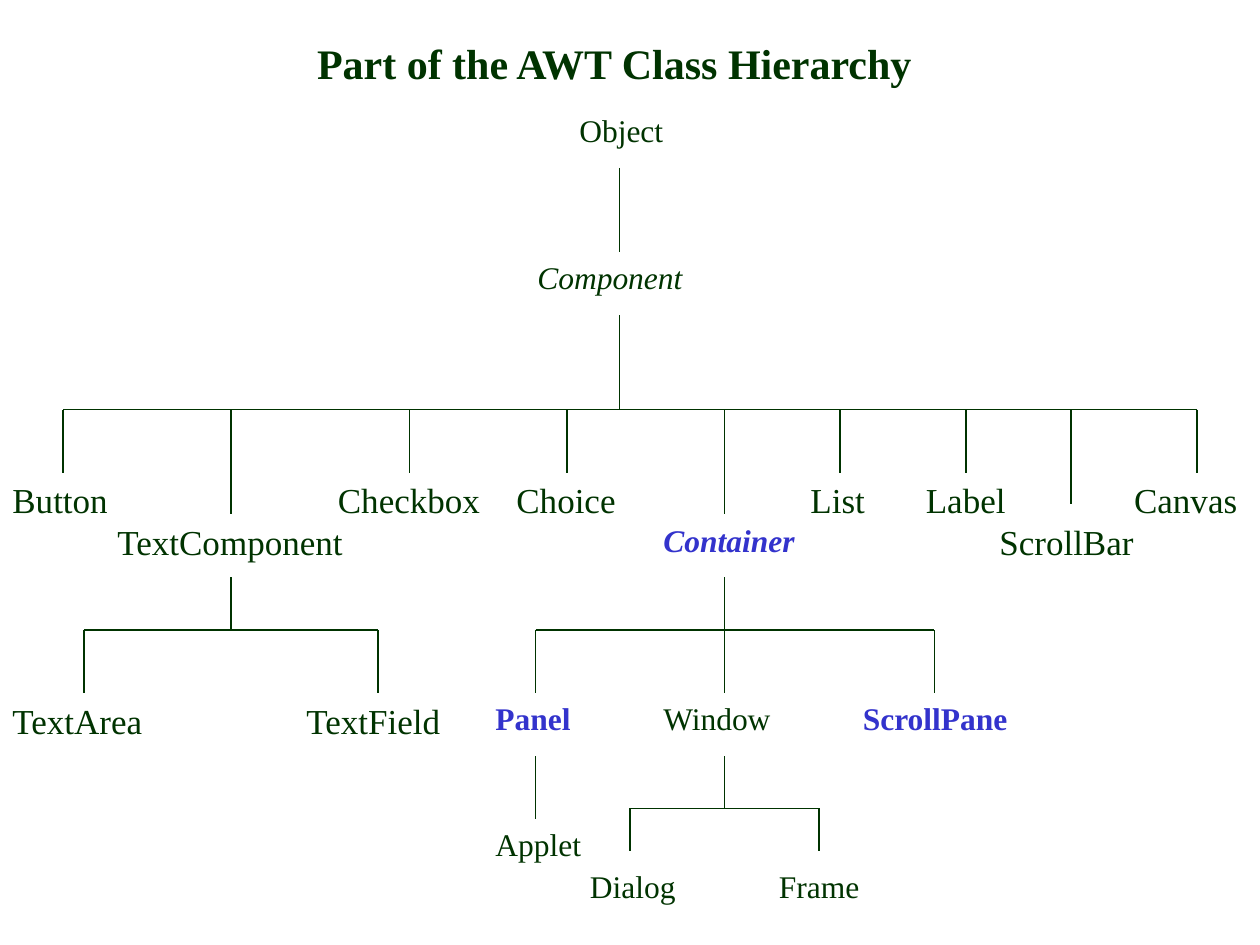
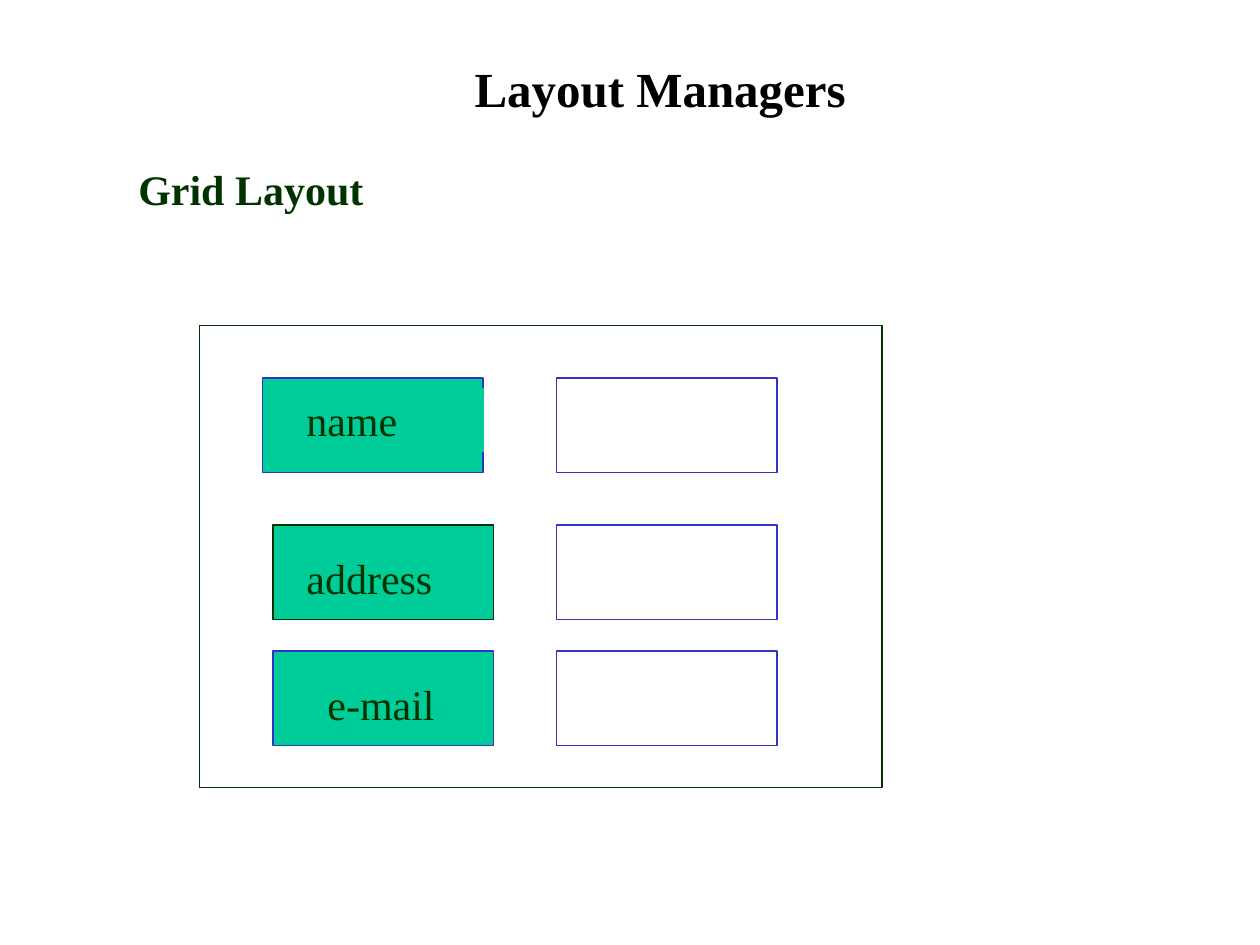
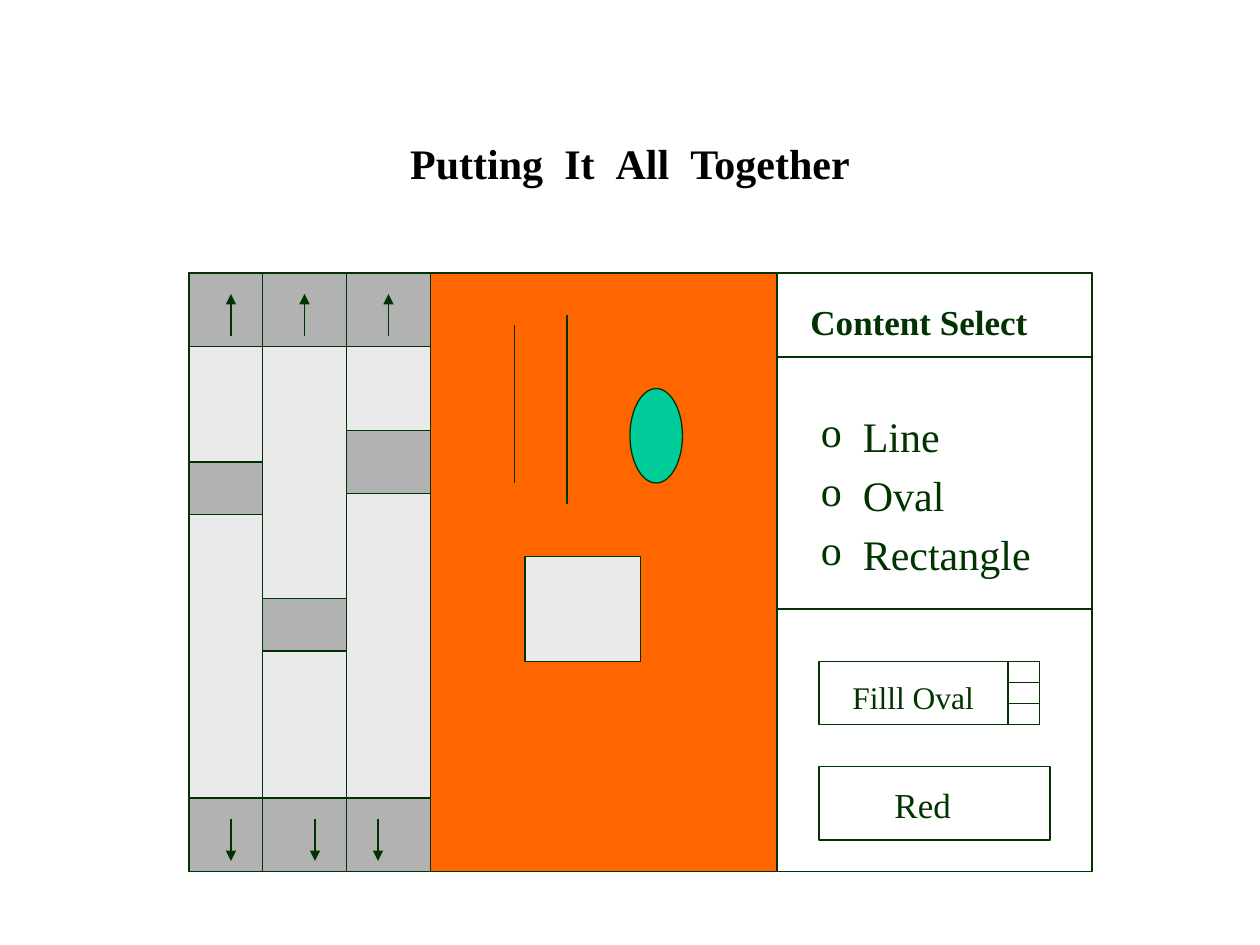
from lxml import etree
from pptx import Presentation
from pptx.dml.color import RGBColor
from pptx.enum.shapes import MSO_CONNECTOR, MSO_SHAPE
from pptx.enum.text import MSO_ANCHOR, MSO_AUTO_SIZE, PP_ALIGN
from pptx.oxml.ns import qn
from pptx.util import Inches, Pt

STRAIGHT = MSO_CONNECTOR.STRAIGHT
RECTANGLE, OVAL = MSO_SHAPE.RECTANGLE, MSO_SHAPE.OVAL
TOP, MIDDLE = MSO_ANCHOR.TOP, MSO_ANCHOR.MIDDLE
LEFT, CENTER = PP_ALIGN.LEFT, PP_ALIGN.CENTER
NO_AUTOFIT = MSO_AUTO_SIZE.NONE

FONT = "Times New Roman"
INK, BLACK, WHITE, BLUE = "003300", "000000", "FFFFFF", "3333CC"
MINT, ORANGE, SILVER, GRAY = "00CC99", "FF6600", "EAEAEA", "B2B2B2"
LINE_WIDTH = 0.75
TITLE_ONLY = 5

# Boxes are (left, top, width, height) in cells of a 120 by 90 grid.
COLUMNS, ROWS = 120, 90
CELLS_PER_INCH = 12
SLIDE = (0, 0, COLUMNS, ROWS)


def cells(count):
    return Inches(count / CELLS_PER_INCH)


def color(value):
    return RGBColor.from_string(value)


def place(region, box):
    """Turn a box relative to a region into lengths on the slide."""
    left, top, width, height = box
    return [cells(n) for n in (region[0] + left, region[1] + top, width, height)]


def paint(shape, fill, line=None):
    shape.fill.solid()
    shape.fill.fore_color.rgb = color(fill)
    if line:
        shape.line.color.rgb = color(line)
        shape.line.width = Pt(LINE_WIDTH)


def add_figure(page, region, box, fill=WHITE, line=INK, preset=RECTANGLE):
    shape = page.shapes.add_shape(preset, *place(region, box))
    shape.shadow.inherit = False
    paint(shape, fill, line)
    return shape


def add_line(page, region, start, end, arrow=False):
    ends = [cells(region[axis] + point[axis]) for point in (start, end) for axis in (0, 1)]
    connector = page.shapes.add_connector(STRAIGHT, *ends)
    connector.line.color.rgb = color(INK)
    connector.line.width = Pt(LINE_WIDTH)
    if arrow:
        outline = connector.line._get_or_add_ln()
        etree.SubElement(outline, qn("a:tailEnd"), type="triangle")
    etree.SubElement(connector._element.spPr, qn("a:effectLst"))
    return connector


def style_span(span, size, ink, bold=False, italic=False):
    font = span.font
    font.name, font.size, font.bold, font.italic = FONT, Pt(size), bold, italic
    font.color.rgb = color(ink)


def add_text(page, region, box, text, size, ink=INK, bold=False, italic=False):
    """Add a text box with one paragraph for each line of the text."""
    shape = page.shapes.add_textbox(*place(region, box))
    frame = shape.text_frame
    frame.word_wrap = True
    frame.text = text
    for para in frame.paragraphs:
        for span in para.runs:
            style_span(span, size, ink, bold, italic)
    return shape


def add_page(deck, title, box, size, ink=BLACK, align=LEFT, word_gap=0):
    """Add a slide with a bold title; word_gap widens its spaces, in points."""
    page = deck.slides.add_slide(deck.slide_layouts[TITLE_ONLY])
    holder = page.shapes.title
    holder.left, holder.top, holder.width, holder.height = place(SLIDE, box)
    frame = holder.text_frame
    frame.auto_size = NO_AUTOFIT
    frame.word_wrap = True
    frame.vertical_anchor = MIDDLE if align == CENTER else TOP
    para = frame.paragraphs[0]
    para.alignment = align
    for index, word in enumerate(title.split()):
        if index:
            space = para.add_run()
            space.text = " "
            style_span(space, size, ink, bold=True)
            if word_gap:
                space._r.get_or_add_rPr().set("spc", str(word_gap * 100))
        span = para.add_run()
        span.text = word
        style_span(span, size, ink, bold=True)
    return page


def add_fork(page, region, stem, bar_row, drops):
    """Draw a stem down to a bar and drops from it; return the drops by column."""
    columns = [column for column, _ in drops]
    add_line(page, region, stem, (stem[0], bar_row))
    add_line(page, region, (min(columns), bar_row), (max(columns), bar_row))
    return {column: add_line(page, region, (column, bar_row), (column, row))
            for column, row in drops}


def add_class_tree(page, region):
    large = [("Button", 0, 45, 13), ("TextComponent", 10, 49, 25),
             ("Checkbox", 31, 45, 17), ("Choice", 48, 45, 13),
             ("List", 76, 45, 9), ("Label", 87, 45, 11),
             ("ScrollBar", 94, 49, 17), ("Canvas", 106.83, 45, 13),
             ("TextArea", 0, 66, 17), ("TextField", 28, 66, 17)]
    small = [("Object", 54, 10, 11), ("Window", 62, 66, 14), ("Applet", 46, 78, 12),
             ("Dialog", 55, 82, 13), ("Frame", 73, 82, 12)]
    marked = [("Panel", 46, 66, 11), ("ScrollPane", 81, 66, 17)]
    names = {}
    for group, size, ink, bold in ((large, 20, INK, False), (small, 18, INK, False),
                                   (marked, 18, BLUE, True)):
        for name, column, row, width in group:
            names[name] = add_text(page, region, (column, row, width, 5),
                                   name, size, ink, bold)
    add_text(page, region, (50, 24, 17, 5), "Component", 18, italic=True)
    add_text(page, region, (62, 49, 15, 5), "Container", 18, BLUE, True, True)

    add_line(page, region, (59, 16), (59, 24))
    add_line(page, region, (51, 72), (51, 78))
    add_fork(page, region, (59, 30), 39,
             [(6, 45), (22, 49), (39, 45), (54, 45), (69, 49),
              (80, 45), (92, 45), (102, 48), (114, 45)])
    add_fork(page, region, (22, 55), 60, [(8, 66), (36, 66)])
    add_fork(page, region, (69, 72), 77, [(60, 81), (78, 81)])
    drops = add_fork(page, region, (69, 55), 60, [(51, 66), (69, 66), (89, 66)])
    drops[69].end_connect(names["Window"], 0)


def add_form(page, region):
    add_figure(page, SLIDE, region)
    rows = [("name", 5, (6, 5), BLUE, (9, 6, 18, 6)),
            ("address", 19, (7, 19), INK, (9, 21, 16, 6)),
            ("e-mail", 31, (7, 31), BLUE, (11, 33, 15, 6))]
    for name, row, corner, line, label_box in rows:
        add_figure(page, region, (34, row, 21, 9), line=BLUE)
        add_figure(page, region, (*corner, 21, 9), MINT, line)
        paint(add_text(page, region, label_box, name, 24), MINT, MINT)


def add_scrollbar(page, region, knob_top, knob_height, down_column):
    _, _, width, height = region
    button, up_column = 7, 4
    add_figure(page, region, (0, button, width, height - 2 * button), SILVER)
    for top, part_height in ((knob_top, knob_height), (0, button), (height - button, button)):
        add_figure(page, region, (0, top, width, part_height), GRAY)
    add_line(page, region, (up_column, 6), (up_column, 2), arrow=True)
    add_line(page, region, (down_column, height - 5), (down_column, height - 1), arrow=True)


def add_drawing_area(page, region):
    add_figure(page, SLIDE, region, ORANGE)
    add_figure(page, region, (19, 11, 5, 9), MINT, preset=OVAL)
    add_figure(page, region, (9, 27, 11, 10), SILVER)
    add_line(page, region, (8, 5), (8, 20))
    add_line(page, region, (13, 4), (13, 22))


def add_radio_list(page, region, box, choices):
    frame = add_text(page, region, box, "\n".join(choices), 24).text_frame
    for index, para in enumerate(frame.paragraphs):
        properties = para._p.get_or_add_pPr()
        properties.set("marL", str(Pt(24)))
        properties.set("indent", str(-Pt(24)))
        etree.SubElement(properties, qn("a:buFont"), typeface=FONT)
        etree.SubElement(properties, qn("a:buChar"), char="o")
        para.line_spacing = 0.65
        if index:
            para.space_before = Pt(15)


def add_control_panel(page, region):
    _, _, width, height = region
    section = 32
    add_figure(page, SLIDE, region)
    add_line(page, region, (0, 8), (width, 8))
    add_text(page, region, (2, 2, 26, 5), "Content Select", 20, bold=True)
    add_radio_list(page, region, (3, 14, 24, 16), ["Line", "Oval", "Rectangle"])
    add_figure(page, region, (0, section, width, height - section))
    add_figure(page, region, (4, 37, 21, 6))
    add_text(page, region, (6, 38, 15, 5), "Filll Oval", 18)
    add_line(page, region, (22, 37), (22, 43))
    for row in (39, 41):
        add_line(page, region, (22, row), (25, row))
    add_figure(page, region, (4, 47, 22, 7))
    add_text(page, region, (10, 48, 10, 5), "Red", 20)


def add_hierarchy_page(deck):
    page = add_page(deck, "Part of the AWT Class Hierarchy", (29, 3, 61, 6), 24, INK)
    add_class_tree(page, SLIDE)


def add_layout_page(deck):
    page = add_page(deck, "Layout Managers", (44, 5, 39, 7), 28)
    add_text(page, SLIDE, (12, 15, 25, 6), "Grid Layout", 24, bold=True)
    add_form(page, (19, 31, 65, 44))


def add_summary_page(deck):
    page = add_page(deck, "Putting It All Together", (9, 8, 102, 15), 24,
                    align=CENTER, word_gap=6)
    left, top, height = 18, 26, 57
    add_figure(page, SLIDE, (left, top, 86, height))
    for width, knob_top, knob_height, down_column in ((7, 18, 5, 4), (8, 31, 5, 5), (8, 15, 6, 3)):
        add_scrollbar(page, (left, top, width, height), knob_top, knob_height, down_column)
        left += width
    drawing_width = 33
    add_control_panel(page, (left + drawing_width, top, 30, height))
    add_drawing_area(page, (left, top, drawing_width, height))


def main():
    deck = Presentation()
    deck.slide_width, deck.slide_height = cells(COLUMNS), cells(ROWS)
    add_hierarchy_page(deck)
    add_layout_page(deck)
    add_summary_page(deck)
    deck.save("out.pptx")


if __name__ == "__main__":
    main()
